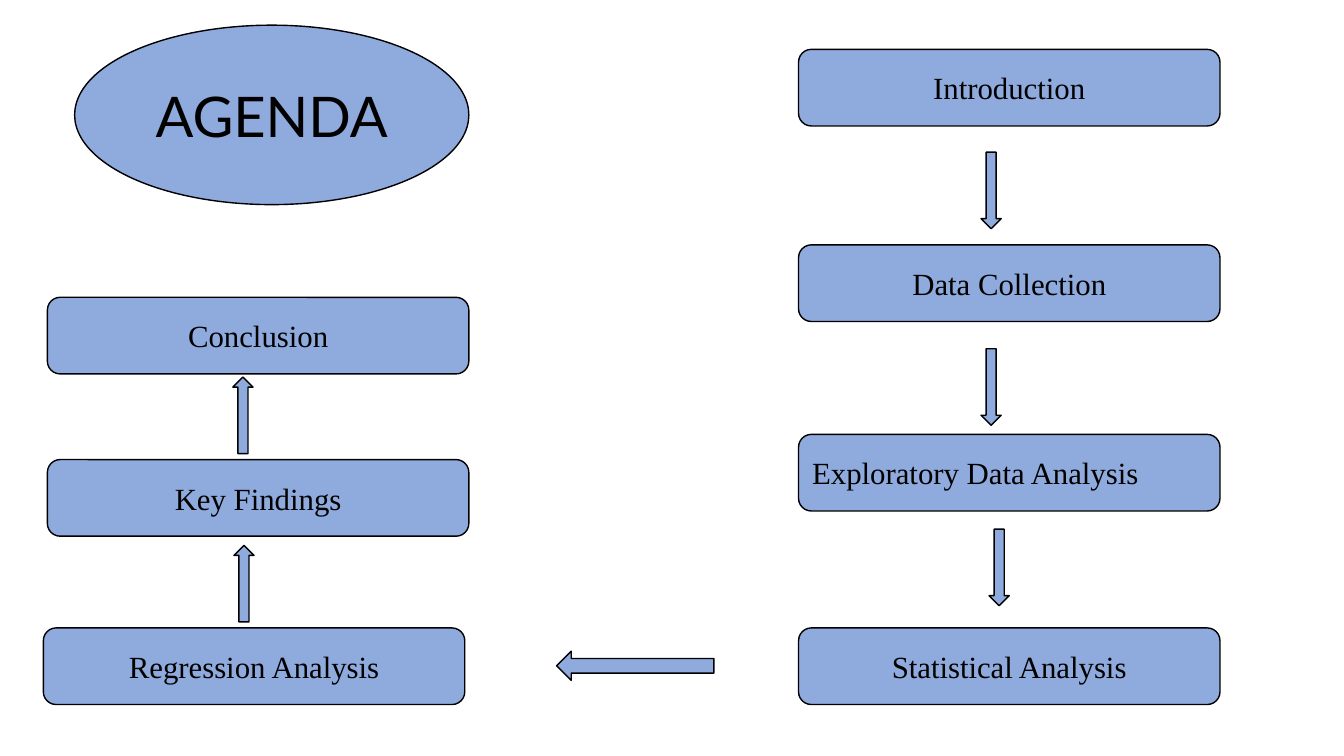
from pptx import Presentation
from pptx.dml.color import RGBColor
from pptx.enum.shapes import MSO_SHAPE as Shape
from pptx.enum.text import MSO_ANCHOR as Anchor, PP_ALIGN as Align
from pptx.util import Pt

PX = 9144
COLORS = {"fill": "8FAADC", "ink": "000000"}
STEP_SIZE = (418, 76)
STEPS = [
    ("Introduction", 792, 49, Align.CENTER),
    ("Data Collection", 792, 243, Align.CENTER),
    ("Exploratory Data Analysis", 792, 431, Align.LEFT),
    ("Statistical Analysis", 792, 623, Align.CENTER),
    ("Regression Analysis", 43, 623, Align.CENTER),
    ("Key Findings", 47, 456, Align.CENTER),
    ("Conclusion", 47, 295, Align.CENTER),
]
SHORT_ARROW, LONG_ARROW = (76, 20), (156, 29)
DOWN, LEFT, UP = 90, 180, 270
ARROWS = [
    (945, 179, SHORT_ARROW, DOWN),
    (945, 374, SHORT_ARROW, DOWN),
    (953, 553, SHORT_ARROW, DOWN),
    (552, 646, LONG_ARROW, LEFT),
    (204, 569, SHORT_ARROW, UP),
    (203, 402, SHORT_ARROW, UP),
]


class FlowSlide:
    """Draws the agenda flow in one shared style on a page."""

    def __init__(self, page):
        self.page = page

    def outline(self, kind, x, y, size):
        width, height = size
        box = self.page.shapes.add_shape(
            kind, x * PX, y * PX, width * PX, height * PX)
        box.shadow.inherit = False
        box.fill.solid()
        box.fill.fore_color.rgb = RGBColor.from_string(COLORS["fill"])
        box.line.color.rgb = RGBColor.from_string(COLORS["ink"])
        box.line.width = Pt(1)
        return box

    def label(self, kind, text, x, y, size, font, points, align=Align.CENTER):
        frame = self.outline(kind, x, y, size).text_frame
        frame.text = text
        frame.word_wrap = True
        frame.vertical_anchor = Anchor.MIDDLE
        para = frame.paragraphs[0]
        para.alignment = align
        span = para.runs[0]
        span.font.name = font
        span.font.size = Pt(points)
        span.font.color.rgb = RGBColor.from_string(COLORS["ink"])

    def title(self, text, x, y, size):
        self.label(Shape.OVAL, text, x, y, size, "Lato", 40)

    def step(self, text, x, y, align):
        self.label(Shape.ROUNDED_RECTANGLE, text, x, y, STEP_SIZE,
                   "Times New Roman", 22, align)

    def arrow(self, x, y, size, rotation):
        self.outline(Shape.RIGHT_ARROW, x, y, size).rotation = rotation


def main():
    deck = Presentation()
    deck.slide_width, deck.slide_height = 1333 * PX, 750 * PX
    flow = FlowSlide(deck.slides.add_slide(deck.slide_layouts[6]))
    for step in STEPS:
        flow.step(*step)
    flow.title("AGENDA", 74, 25, (391, 178))
    for arrow in ARROWS:
        flow.arrow(*arrow)
    deck.save("out.pptx")


if __name__ == "__main__":
    main()
